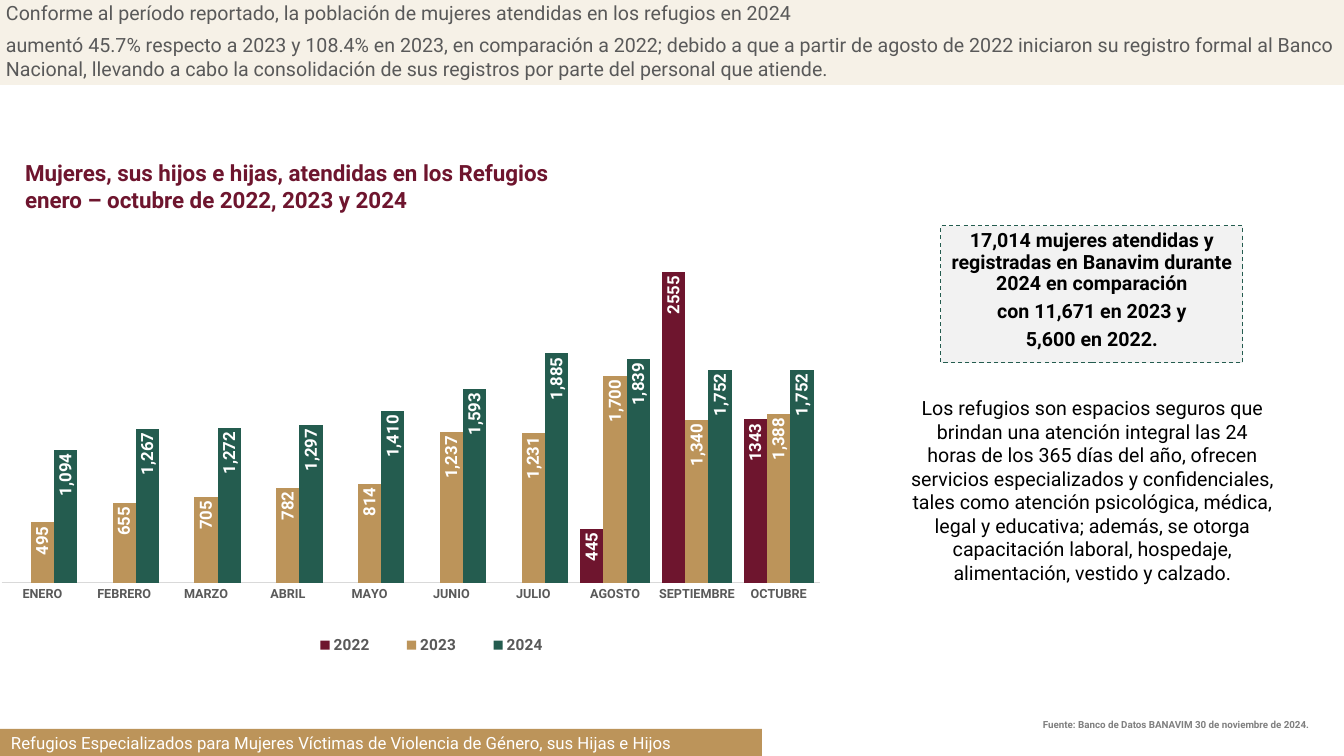
import pptx
import pptx.chart.data
import pptx.dml.color
import pptx.enum.chart
import pptx.enum.dml
import pptx.enum.shapes
import pptx.enum.text
import pptx.oxml
import pptx.oxml.ns
import pptx.util
from lxml import etree

RGB = pptx.dml.color.RGBColor
Pt = pptx.util.Pt
qn = pptx.oxml.ns.qn
Align = pptx.enum.text.PP_ALIGN
Anchor = pptx.enum.text.MSO_ANCHOR

WINE = RGB(0x6E, 0x15, 0x2E)
GOLD = RGB(0xBC, 0x94, 0x5A)
GREEN = RGB(0x24, 0x5C, 0x4F)
SAND = RGB(0xDE, 0xC9, 0xA2)
DARK = RGB(0x59, 0x59, 0x59)
GRAY = RGB(0x80, 0x80, 0x80)
PALE = RGB(0xD9, 0xD9, 0xD9)
BLACK = RGB(0, 0, 0)
WHITE = RGB(0xFF, 0xFF, 0xFF)

MONTHS = ["ENERO", "FEBRERO", "MARZO", "ABRIL", "MAYO", "JUNIO", "JULIO",
          "AGOSTO", "SEPTIEMBRE", "OCTUBRE"]
SERIES = [
    ("2022", WINE, "General", [None] * 7 + [445, 2555, 1343]),
    ("2023", GOLD, "#,##0",
     [495, 655, 705, 782, 814, 1237, 1231, 1700, 1340, 1388]),
    ("2024", GREEN, "#,##0",
     [1094, 1267, 1272, 1297, 1410, 1593, 1885, 1839, 1752, 1752]),
]


class Page:
    face = "Roboto"
    scale = 12192000 / 1344

    def __init__(self, deck):
        deck.slide_width, deck.slide_height = self.emu(1344, 756)
        self.slide = deck.slides.add_slide(deck.slide_layouts[5])
        self.shapes = self.slide.shapes

    def emu(self, *sizes):
        return [round(size * self.scale) for size in sizes]

    def font(self, font, size, color, bold=False):
        font.name, font.size, font.bold = self.face, Pt(size), bold
        font.color.rgb = color

    def label(self, shape, lines, size, color, bold=False, align=Align.LEFT,
              anchor=Anchor.TOP, pad=(10, 5), after=0, pitch=1.0):
        """Set the text of a shape, one paragraph a line."""
        frame = shape.text_frame
        frame.word_wrap = True
        frame.auto_size = pptx.enum.text.MSO_AUTO_SIZE.NONE
        frame.vertical_anchor = anchor
        side, edge = self.emu(*pad)
        frame.margin_left = frame.margin_right = side
        frame.margin_top = frame.margin_bottom = edge
        frame.text = "\n".join(lines)
        for para in frame.paragraphs:
            para.alignment = align
            para.line_spacing = pitch
            para.space_before, para.space_after = Pt(0), Pt(after)
            self.font(para.font, size, color, bold)

    def title(self, box, lines, **style):
        shape = self.shapes.title
        shape.left, shape.top, shape.width, shape.height = self.emu(*box)
        self.label(shape, lines, **style)

    def text(self, box, lines, **style):
        self.label(self.shapes.add_textbox(*self.emu(*box)), lines, **style)

    def panel(self, box, fill, lines, alpha=100, edge=None, **style):
        """Add a filled box with text; alpha is its opacity in percent."""
        kind = pptx.enum.shapes.MSO_SHAPE.RECTANGLE
        shape = self.shapes.add_shape(kind, *self.emu(*box))
        shape.shadow.inherit = False
        shape.fill.solid()
        shape.fill.fore_color.rgb = fill
        if alpha < 100:
            color = shape._element.spPr.find(".//" + qn("a:srgbClr"))
            etree.SubElement(color, qn("a:alpha"), val=str(alpha * 1000))
        if edge is None:
            shape.line.fill.background()
        else:
            shape.line.color.rgb = edge
            shape.line.width = Pt(0.75)
            shape.line.dash_style = pptx.enum.dml.MSO_LINE.DASH
        self.label(shape, lines, **style)

    def place(self, parent, index, box, inner=False):
        """Give a chart part a manual layout, in fractions of the chart."""
        for old in parent.findall(qn("c:layout")):
            parent.remove(old)
        layout = etree.Element(qn("c:layout"))
        manual = etree.SubElement(layout, qn("c:manualLayout"))
        rules = [("layoutTarget", "inner")] if inner else []
        rules += [("xMode", "edge"), ("yMode", "edge")]
        rules += zip("xywh", box)
        for tag, value in rules:
            etree.SubElement(manual, qn("c:" + tag), val=str(value))
        parent.insert(index, layout)

    def chart(self, box, months, series):
        enum = pptx.enum.chart
        data = pptx.chart.data.CategoryChartData()
        data.categories = months
        for name, _, form, values in series:
            data.add_series(name, values, form)
        kind = enum.XL_CHART_TYPE.COLUMN_CLUSTERED
        chart = self.shapes.add_chart(kind, *self.emu(*box), data).chart
        chart.has_title = False
        chart.font.name, chart.font.size = "Montserrat", Pt(10)
        chart.font.color.rgb = BLACK
        area = chart._chartSpace.chart.plotArea
        self.place(area, 0, (0, 0.03, 0.97, 0.79), inner=True)

        axis = chart.category_axis
        axis.major_tick_mark = enum.XL_TICK_MARK.NONE
        axis.format.line.color.rgb = PALE
        axis.format.line.width = Pt(0.75)
        self.font(axis.tick_labels.font, 9, DARK, True)
        scale = chart.value_axis
        scale.minimum_scale, scale.maximum_scale = 0, 3000
        scale.has_major_gridlines = False
        scale.visible = False

        plot = chart.plots[0]
        plot.gap_width, plot.overlap = 52, 0
        plot.vary_by_categories = False
        for bars, (_, color, form, _) in zip(plot.series, series):
            bars.format.fill.solid()
            bars.format.fill.fore_color.rgb = color
            labels = bars.data_labels
            labels.show_value = True
            labels.number_format = form
            labels.number_format_is_linked = False
            labels.position = enum.XL_LABEL_POSITION.INSIDE_END
            self.font(labels.font, 12, WHITE, True)
            body = labels._element.find(".//" + qn("a:bodyPr"))
            body.set("rot", "-5400000")
            body.set("vert", "horz")

        chart.has_legend = True
        legend = chart.legend
        legend.position = enum.XL_LEGEND_POSITION.BOTTOM
        legend.include_in_layout = False
        self.place(legend._element, 1, (0.34, 0.92, 0.34, 0.07))
        self.font(legend.font, 11, DARK, True)


def main():
    deck = pptx.Presentation()
    page = Page(deck)
    page.panel((0, -2, 1344, 87), SAND, [
        "Conforme al período reportado, la población de mujeres atendidas en "
        "los refugios en 2024",
        "aumentó 45.7% respecto a 2023 y 108.4% en 2023, en comparación a "
        "2022; debido a que a partir de agosto de 2022 iniciaron su registro "
        "formal al Banco Nacional, llevando a cabo la consolidación de sus "
        "registros por parte del personal que atiende.",
    ], alpha=25, size=14, color=DARK, pad=(6, 3), after=6)
    page.panel((941, 226, 302, 137), GRAY, [
        "17,014 mujeres atendidas y registradas en Banavim durante 2024 en "
        "comparación",
        "con 11,671 en 2023 y",
        "5,600 en 2022.",
    ], alpha=10, edge=GREEN, size=14, color=BLACK, bold=True,
        align=Align.CENTER, after=5, pitch=0.9)
    page.panel((0, 729, 762, 28), GOLD, [
        "Refugios Especializados para Mujeres Víctimas de Violencia de "
        "Género, sus Hijas e Hijos",
    ], size=12, color=WHITE, anchor=Anchor.MIDDLE, pad=(11, 4))
    page.text((900, 391, 385, 201), [
        "Los refugios son espacios seguros que brindan una atención integral "
        "las 24 horas de los 365 días del año, ofrecen servicios "
        "especializados y confidenciales, tales como atención psicológica, "
        "médica, legal y educativa; además, se otorga capacitación laboral, "
        "hospedaje, alimentación, vestido y calzado.",
    ], size=14, color=BLACK, align=Align.CENTER)
    page.text((909, 714, 410, 22), [
        "Fuente: Banco de Datos BANAVIM 30 de noviembre de 2024.",
    ], size=7, color=GRAY, bold=True, align=Align.RIGHT)
    page.chart((1, 204, 844, 462), MONTHS, SERIES)
    page.title((15, 154, 814, 65), [
        "Mujeres, sus hijos e hijas, atendidas en los Refugios",
        "enero – octubre de 2022, 2023 y 2024",
    ], size=16, color=WINE, bold=True)
    deck.save("out.pptx")


if __name__ == "__main__":
    main()
